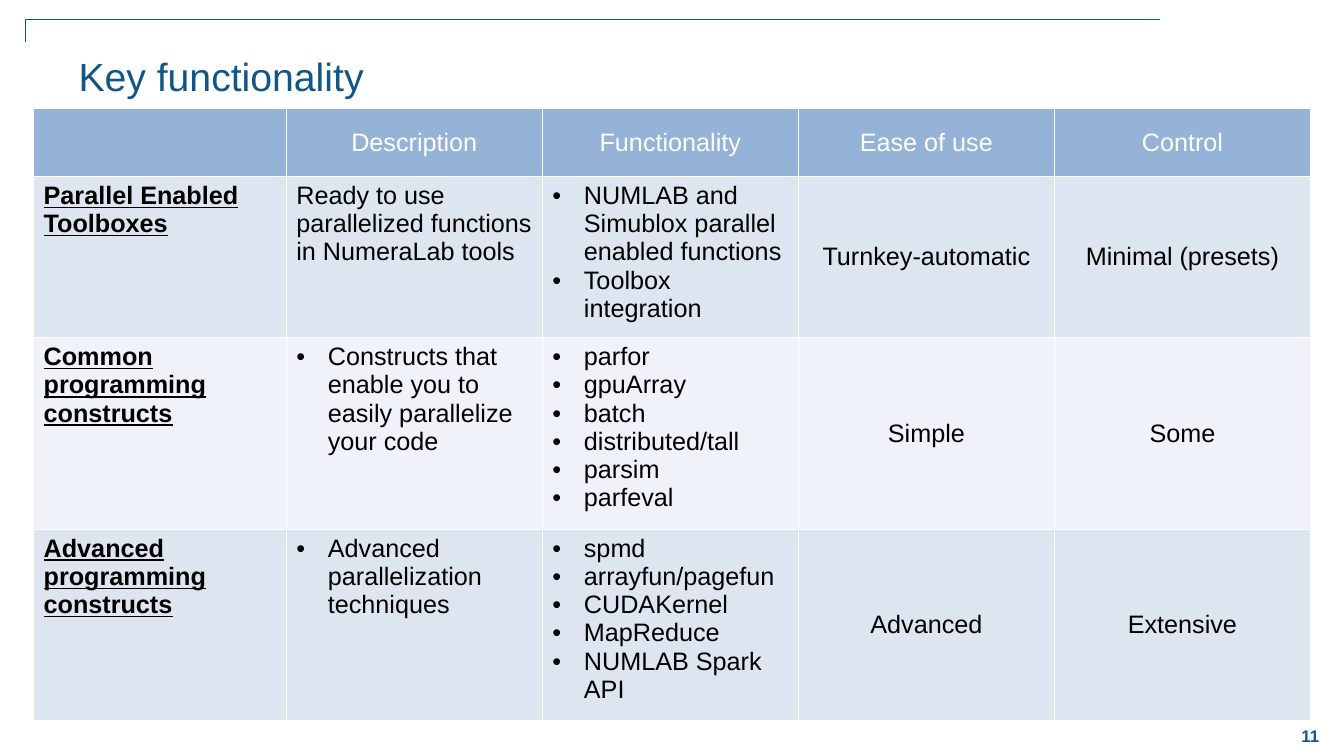
"""Build the slide that compares parallel computing functionality."""
from lxml import etree
from pptx import Presentation
from pptx.dml.color import RGBColor
from pptx.enum.text import MSO_ANCHOR, PP_ALIGN
from pptx.oxml.ns import qn
from pptx.util import Pt

CENTER, LEFT = PP_ALIGN.CENTER, PP_ALIGN.LEFT
TOP, MIDDLE = MSO_ANCHOR.TOP, MSO_ANCHOR.MIDDLE
NAVY = RGBColor(0x12, 0x56, 0x87)
WHITE = RGBColor(0xFF, 0xFF, 0xFF)
BLACK = RGBColor(0x00, 0x00, 0x00)
HEADER_BLUE = RGBColor(0x95, 0xB3, 0xD7)
BAND_DARK = RGBColor(0xDD, 0xE5, 0xF0)
BAND_LIGHT = RGBColor(0xEF, 0xF2, 0xF8)
BULLET_INDENT = Pt(22.5)

HEADINGS = ["", "Description", "Functionality", "Ease of use", "Control"]
ROWS = [
    HEADINGS,
    ["Parallel Enabled Toolboxes",
     "Ready to use parallelized functions in NumeraLab tools",
     ["NUMLAB and Simublox parallel enabled functions", "Toolbox integration"],
     "Turnkey-automatic", "Minimal (presets)"],
    ["Common programming constructs",
     ["Constructs that enable you to easily parallelize your code"],
     ["parfor", "gpuArray", "batch", "distributed/tall", "parsim", "parfeval"],
     "Simple", "Some"],
    ["Advanced programming constructs",
     ["Advanced parallelization techniques"],
     ["spmd", "arrayfun/pagefun", "CUDAKernel", "MapReduce", "NUMLAB Spark API"],
     "Advanced", "Extensive"],
]
ROW_FILLS = [HEADER_BLUE, BAND_DARK, BAND_LIGHT, BAND_DARK]
ROW_HEIGHTS = [48.7, 104.4, 104.4, 120.2]
COLUMN_WIDTHS = [180.5, 182.9, 182.9, 182.9, 182.9]


def add_span(para, text, size, color, bold=False, underline=False):
    """Add one formatted run."""
    span = para.add_run()
    span.text = text
    span.font.name = "Arial"
    span.font.size = Pt(size)
    span.font.color.rgb = color
    span.font.bold = bold
    span.font.underline = underline


def add_border(cell, side):
    """Add one white border to a table cell."""
    properties = cell._tc.get_or_add_tcPr()
    line = etree.SubElement(properties, qn("a:" + side), w=str(Pt(1)))
    fill = etree.SubElement(line, qn("a:solidFill"))
    etree.SubElement(fill, qn("a:srgbClr"), val=str(WHITE))


deck = Presentation()
deck.slide_width, deck.slide_height = Pt(960), Pt(540)
page = deck.slides.add_slide(deck.slide_layouts[6])

builder = page.shapes.build_freeform(Pt(828.7), Pt(13.7))
builder.add_line_segments([(Pt(18), Pt(13.7)), (Pt(18), Pt(30.2))], close=False)
corner_rule = builder.convert_to_shape()
corner_rule.shadow.inherit = False
corner_rule.fill.background()
corner_rule.line.color.rgb = NAVY
corner_rule.line.width = Pt(0.5)

LABELS = [
    ("Key functionality", 49, 33.8, 846, 77.8, 28, False, LEFT, TOP),
    ("11", 912, 510.5, 48, 30, 12, True, CENTER, MIDDLE),
]
for text, left, top, width, height, size, bold, align, anchor in LABELS:
    box = page.shapes.add_textbox(Pt(left), Pt(top), Pt(width), Pt(height))
    box.text_frame.word_wrap = True
    box.text_frame.vertical_anchor = anchor
    para = box.text_frame.paragraphs[0]
    para.alignment = align
    add_span(para, text, size, NAVY, bold)

table = page.shapes.add_table(
    len(ROWS), len(HEADINGS), Pt(24), Pt(77.4),
    Pt(sum(COLUMN_WIDTHS)), Pt(sum(ROW_HEIGHTS))).table
table.first_row = False
table.horz_banding = False
for column, width in zip(table.columns, COLUMN_WIDTHS):
    column.width = Pt(width)

for row_index, entries in enumerate(ROWS):
    table.rows[row_index].height = Pt(ROW_HEIGHTS[row_index])
    is_header = row_index == 0
    for column_index, entry in enumerate(entries):
        cell = table.cell(row_index, column_index)
        for side in ("lnL", "lnR", "lnT", "lnB"):
            add_border(cell, side)
        cell.fill.solid()
        cell.fill.fore_color.rgb = ROW_FILLS[row_index]
        is_centered = is_header or column_index > 2
        is_row_title = column_index == 0 and not is_header
        cell.vertical_anchor = MIDDLE if is_centered else TOP
        bulleted = isinstance(entry, list)
        for index, text in enumerate(entry if bulleted else [entry]):
            frame = cell.text_frame
            para = frame.add_paragraph() if index else frame.paragraphs[0]
            para.alignment = CENTER if is_centered else LEFT
            if bulleted:
                properties = para._p.get_or_add_pPr()
                properties.set("marL", str(BULLET_INDENT))
                properties.set("indent", str(-BULLET_INDENT))
                etree.SubElement(properties, qn("a:buFont"), typeface="Arial")
                etree.SubElement(properties, qn("a:buChar"), char="•")
            if text:
                add_span(para, text, 18, WHITE if is_header else BLACK,
                         is_row_title, is_row_title)

deck.save("out.pptx")
